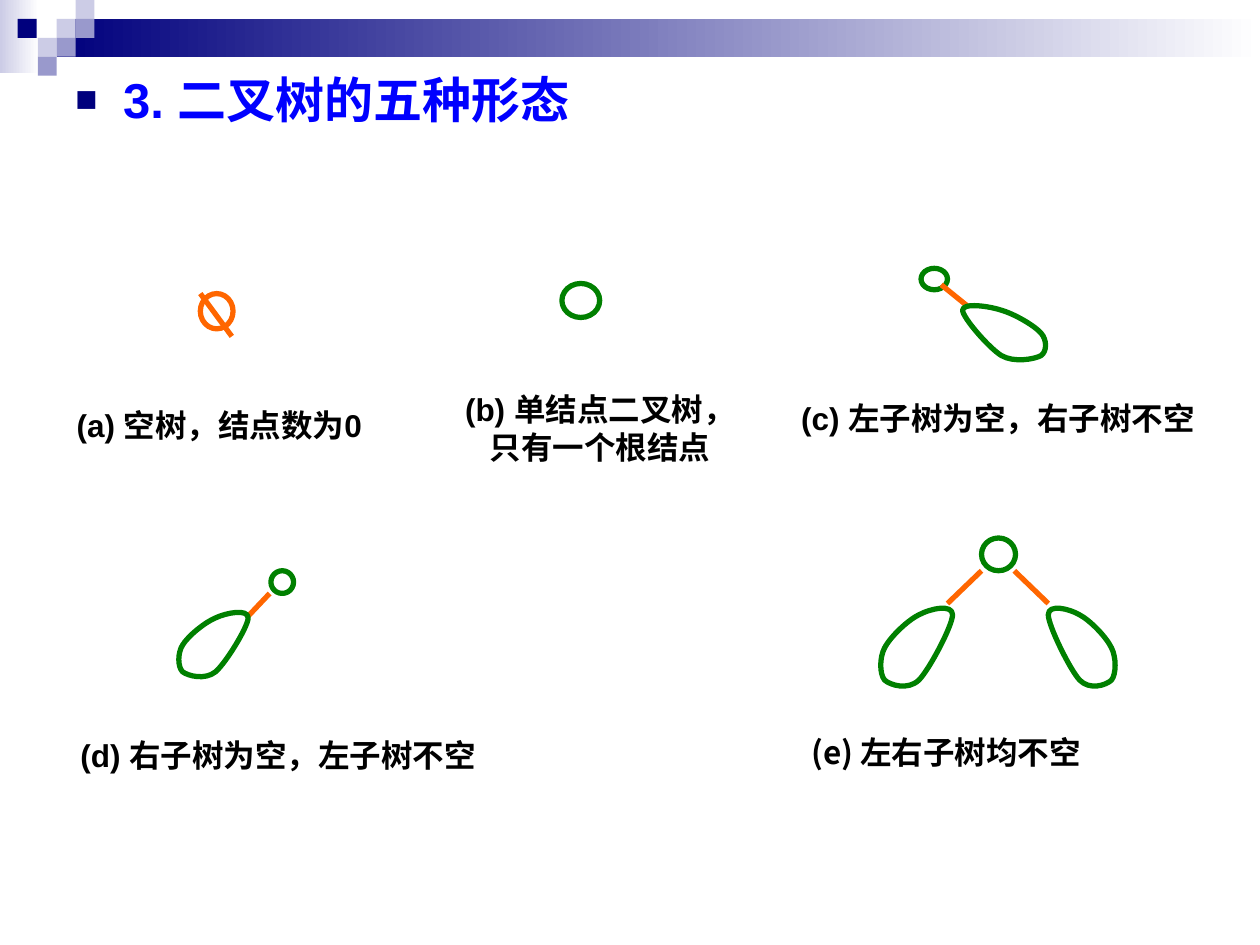
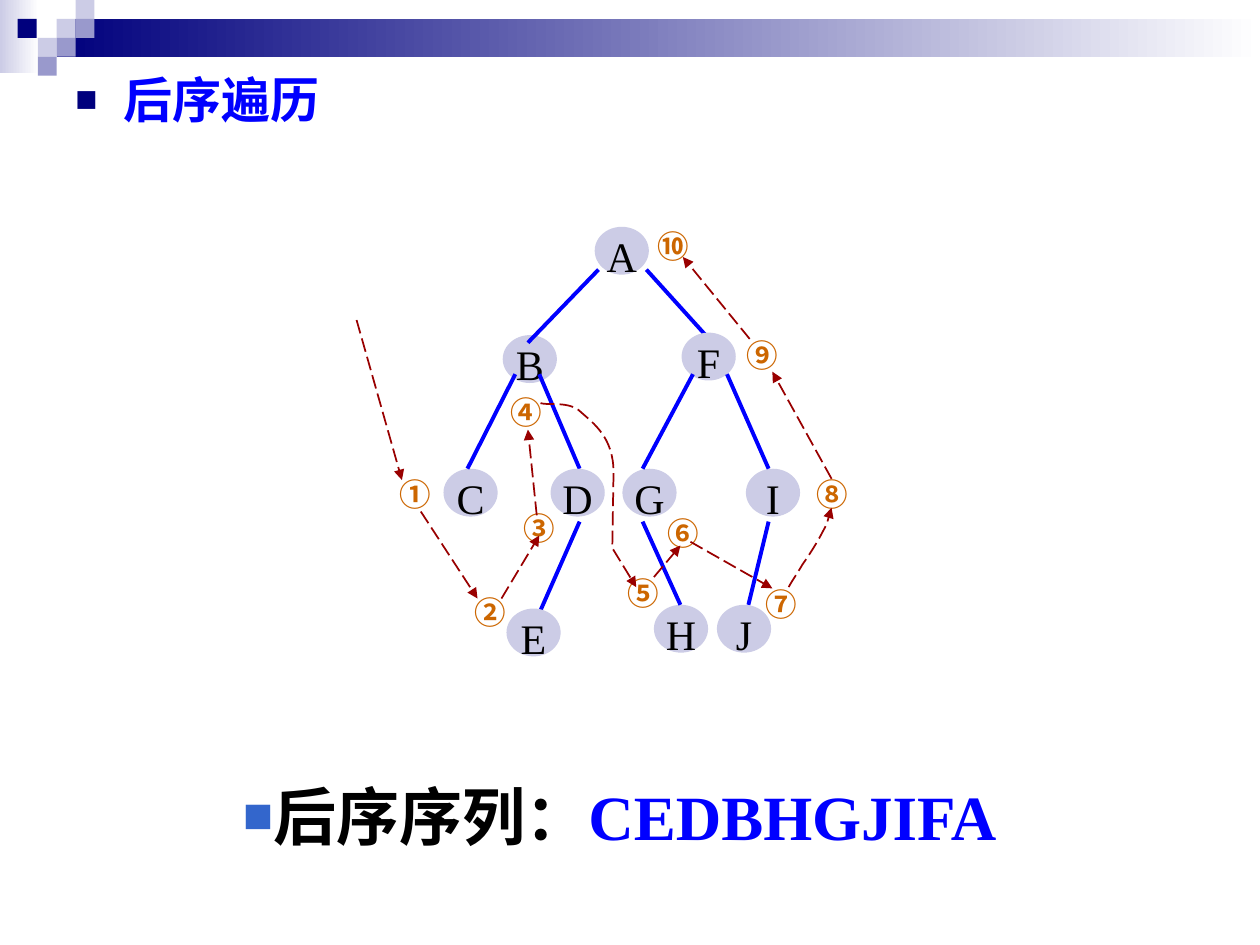
"""Build two slides on binary trees: the five forms and post-order traversal."""
from dataclasses import dataclass

from lxml.etree import SubElement
from pptx import Presentation
from pptx.dml.color import RGBColor as Rgb
from pptx.enum.dml import MSO_LINE as Dash
from pptx.enum.shapes import MSO_CONNECTOR as Link, MSO_SHAPE as Preset
from pptx.enum.text import MSO_ANCHOR as Anchor, MSO_AUTO_SIZE as Fit, PP_ALIGN as Align
from pptx.oxml.ns import qn
from pptx.util import Emu, Pt

EMU_PER_PX = 9144


@dataclass(frozen=True)
class Theme:
    navy: str = "00007D"
    lavender: str = "CCCCE6"
    violet: str = "9999CC"
    white: str = "FFFFFF"
    black: str = "000000"
    blue: str = "0000FF"
    marker: str = "3366CC"
    green: str = "008000"
    orange: str = "FF6600"
    step: str = "CC6600"
    route: str = "990000"
    sans: str = "Arial"
    serif: str = "Times New Roman"
    cjk: str = "Noto Sans CJK SC"
    title_size: int = 28
    caption_size: int = 18
    node_size: int = 24
    answer_size: int = 36
    outline: float = 3
    edge: float = 2.25
    route_width: float = 1


THEME = Theme()

TEARDROP = [(0, 13), (0, 0), (31, 6), (46, 13), (61, 19), (85, 38), (93, 51),
            (100, 62), (100, 81), (93, 88), (85, 94), (61, 100), (46, 88),
            (31, 75), (0, 25), (0, 13)]

CAPTIONS = [
    ("(a) 空树，结点数为0", (51, 296, 260, 61), THEME.sans, 1.7, Align.LEFT),
    ("(b) 单结点二叉树，只有一个根结点", (350, 305, 252, 70), THEME.sans, 1, Align.CENTER),
    ("(c) 左子树为空，右子树不空", (626, 312, 349, 40), THEME.sans, 1, Align.LEFT),
    ("(d) 右子树为空，左子树不空", (54, 558, 371, 61), THEME.sans, 1.7, Align.LEFT),
    ("(e) 左右子树均不空", (634, 556, 307, 71), THEME.cjk, 1.7, Align.LEFT),
]

UPPER_NODES = {"A": (472, 180), "C": (352, 372), "B": (399, 266)}
UPPER_EDGES = [((475, 214), (419, 272)), ((513, 214), (560, 266)),
               ((409, 297), (371, 372)), ((428, 297), (460, 372)),
               ((460, 414), (427, 489))]
LOWER_NODES = {"D": (437, 372), "F": (541, 264), "G": (494, 372), "H": (519, 480),
               "E": (402, 483), "J": (569, 480), "I": (592, 372)}
LOWER_EDGES = [((550, 297), (510, 372)), ((510, 414), (540, 480)),
               ((577, 297), (610, 372)), ((610, 414), (594, 480))]

STEPS = {"①": (307, 372), "②": (367, 466), "③": (406, 399), "④": (395, 307),
         "⑤": (488, 451), "⑥": (520, 403), "⑦": (598, 459), "⑧": (638, 372),
         "⑨": (583, 262), "⑩": (512, 175)}

STRAIGHT_ROUTES = [((283, 254), (319, 381)), ((334, 406), (379, 475)),
                   ((398, 475), (428, 425)), ((426, 409), (419, 341)),
                   ((519, 458), (540, 433)), ((548, 430), (613, 467)),
                   ((660, 380), (613, 295)), ((595, 269), (542, 204))]

ROUTE_4_TO_5 = [(429, 320), (435, 322), (452, 318), (461, 327), (471, 336),
                (487, 347), (487, 375), (486, 435), (505, 466)]
ROUTE_7_TO_8 = [(626, 466), (628, 462), (633, 455), (637, 448), (642, 441),
                (649, 430), (653, 422), (657, 415), (659, 406), (660, 403)]


def px(*lengths):
    """Turn px lengths into EMU."""
    return [Emu(round(length * EMU_PER_PX)) for length in lengths]


def rgb(colour):
    """Read a hex colour."""
    return Rgb.from_string(colour)


def set_line(outlined, colour, width):
    """Give an outline its colour and width."""
    outlined.line.color.rgb = rgb(colour)
    outlined.line.width = Pt(width)


def add_preset(slide, preset, box, fill=None, fade=None, outline=None):
    """Draw a preset shape with a flat, fading or empty fill."""
    figure = slide.shapes.add_shape(preset, *px(*box))
    figure.shadow.inherit = False
    if fade:
        figure.fill.gradient()
        figure.fill.gradient_angle = 0
        for stop, colour in zip(figure.fill.gradient_stops, (fill, fade)):
            stop.color.rgb = rgb(colour)
    elif fill:
        figure.fill.solid()
        figure.fill.fore_color.rgb = rgb(fill)
    else:
        figure.fill.background()
    if outline:
        set_line(figure, outline, THEME.outline)
    else:
        figure.line.fill.background()
    return figure


def add_edge(slide, start, end, colour, width):
    """Join two points with a straight line."""
    edge = slide.shapes.add_connector(Link.STRAIGHT, *px(*start, *end))
    set_line(edge, colour, width)
    SubElement(edge.element.spPr, qn("a:effectLst"))
    return edge


def add_curve(slide, points, curves, colour, width, close=False):
    """Draw an unfilled outline of cubic curves, then straight segments."""
    corners = [px(*point) for point in points]
    builder = slide.shapes.build_freeform(*corners[0], scale=1.0)
    builder.add_line_segments(corners[1:], close=close)
    outline = builder.convert_to_shape()
    segments = list(outline.element.iter(qn("a:lnTo")))
    for first in range(0, 3 * curves, 3):
        bezier, *others = segments[first:first + 3]
        bezier.tag = qn("a:cubicBezTo")
        for other in others:
            bezier.append(other[0])
            other.getparent().remove(other)
    outline.shadow.inherit = False
    outline.fill.background()
    set_line(outline, colour, width)
    return outline


def add_subtree(slide, left, top, width, height, leans_left=False):
    """Draw a teardrop that stands for a whole subtree."""
    points = [(left + width * (100 - x if leans_left else x) / 100, top + height * y / 100)
              for x, y in TEARDROP]
    add_curve(slide, points, 5, THEME.green, THEME.outline, close=True)


def make_route(route):
    """Dash a line and put an arrowhead at its end."""
    route.line.dash_style = Dash.LONG_DASH
    SubElement(route.element.spPr.find(qn("a:ln")), qn("a:tailEnd"), type="triangle")


def add_run(paragraph, text, size, font, colour, bold=True):
    """Add one run with its type style."""
    run = paragraph.add_run()
    run.text = text
    run.font.size = Pt(size)
    run.font.bold = bold
    run.font.color.rgb = rgb(colour)
    run.font.name = font
    SubElement(run.font._element, qn("a:ea"), typeface=THEME.cjk)


def add_text(slide, box, runs, spacing=1, align=Align.LEFT, fit=Fit.SHAPE_TO_FIT_TEXT):
    """Place a one-paragraph text box and return the paragraph."""
    frame = slide.shapes.add_textbox(*px(*box)).text_frame
    frame.word_wrap = True
    frame.auto_size = fit
    paragraph = frame.paragraphs[0]
    paragraph.alignment = align
    paragraph.line_spacing = float(spacing)
    for run in runs:
        add_run(paragraph, *run)
    return paragraph


def add_bullet(paragraph, colour, percent, indent=0):
    """Put a square bullet before a paragraph."""
    properties = paragraph._p.get_or_add_pPr()
    hang = px(indent)[0]
    properties.set("marL", str(hang))
    properties.set("indent", str(-hang))
    SubElement(SubElement(properties, qn("a:buClr")), qn("a:srgbClr"), val=colour)
    SubElement(properties, qn("a:buSzPct"), val=str(percent * 1000))
    SubElement(properties, qn("a:buFont"), typeface=THEME.sans)
    SubElement(properties, qn("a:buChar"), char="■")


def add_titled_slide(deck, title):
    """Start a slide with the shared band, mosaic and title."""
    slide = deck.slides.add_slide(deck.slide_layouts[6])
    add_preset(slide, Preset.RECTANGLE, (0, 0, 31, 58), THEME.lavender, THEME.white)
    add_preset(slide, Preset.RECTANGLE, (45, 15, 955, 30), THEME.navy, THEME.white)
    for left, top, colour in [(45, 15, THEME.lavender), (60, 0, THEME.lavender),
                              (60, 15, THEME.violet), (30, 30, THEME.lavender),
                              (14, 15, THEME.navy), (45, 30, THEME.violet),
                              (30, 45, THEME.violet)]:
        add_preset(slide, Preset.RECTANGLE, (left, top, 15, 15), colour)
    heading = add_text(slide, (50, 50, 900, 700),
                       [(title, THEME.title_size, THEME.sans, THEME.blue)], fit=Fit.NONE)
    add_bullet(heading, THEME.navy, 75, indent=38)
    return slide


def add_node(slide, letter, left, top):
    """Draw a lettered tree node."""
    node = add_preset(slide, Preset.OVAL, (left, top, 43, 38), THEME.lavender)
    frame = node.text_frame
    frame.word_wrap = False
    frame.vertical_anchor = Anchor.MIDDLE
    paragraph = frame.paragraphs[0]
    paragraph.alignment = Align.CENTER
    paragraph.line_spacing = 1.2
    add_run(paragraph, letter, THEME.node_size, THEME.serif, THEME.black, bold=False)


def build_forms(deck):
    """Show the five forms of a binary tree."""
    slide = add_titled_slide(deck, "3. 二叉树的五种形态")
    add_preset(slide, Preset.OVAL, (159, 233, 26, 28), outline=THEME.orange)
    for root in [(446, 225, 30, 27), (731, 213, 21, 17), (215, 453, 18, 18), (779, 427, 27, 26)]:
        add_preset(slide, Preset.OVAL, root, outline=THEME.green)
    for start, end in [((159, 233), (184, 267)), ((768, 243), (747, 226)),
                       ((214, 471), (197, 489)), ((779, 453), (752, 479)),
                       ((832, 479), (805, 453))]:
        add_edge(slide, start, end, THEME.orange, THEME.outline)
    add_subtree(slide, 764, 240, 67, 48)
    add_subtree(slide, 141, 483, 56, 57, leans_left=True)
    add_subtree(slide, 698, 479, 58, 69, leans_left=True)
    add_subtree(slide, 832, 479, 54, 69)
    for caption, box, font, spacing, align in CAPTIONS:
        add_text(slide, box, [(caption, THEME.caption_size, font, THEME.black)], spacing, align)


def build_traversal(deck):
    """Show the post-order route through a tree and its result."""
    slide = add_titled_slide(deck, "后序遍历")
    for nodes, edges in ((UPPER_NODES, UPPER_EDGES), (LOWER_NODES, LOWER_EDGES)):
        for letter, corner in nodes.items():
            add_node(slide, letter, *corner)
        for start, end in edges:
            add_edge(slide, start, end, THEME.blue, THEME.edge)
    for step, corner in STEPS.items():
        add_text(slide, (*corner, 49, 40), [(step, THEME.caption_size, THEME.cjk, THEME.step)])
    for start, end in STRAIGHT_ROUTES:
        make_route(add_edge(slide, start, end, THEME.route, THEME.route_width))
    for bend, curves in ((ROUTE_4_TO_5, 2), (ROUTE_7_TO_8, 3)):
        make_route(add_curve(slide, bend, curves, THEME.route, THEME.route_width))
    answer = add_text(slide, (183, 600, 642, 82),
                      [("后序序列：", THEME.answer_size, THEME.serif, THEME.black),
                       ("CEDBHGJIFA", THEME.answer_size, THEME.serif, THEME.blue)], 1.2)
    add_bullet(answer, THEME.marker, 80)


def main():
    """Build and save the deck."""
    deck = Presentation()
    deck.slide_width, deck.slide_height = px(1000, 750)
    build_forms(deck)
    build_traversal(deck)
    deck.save("out.pptx")


if __name__ == "__main__":
    main()
